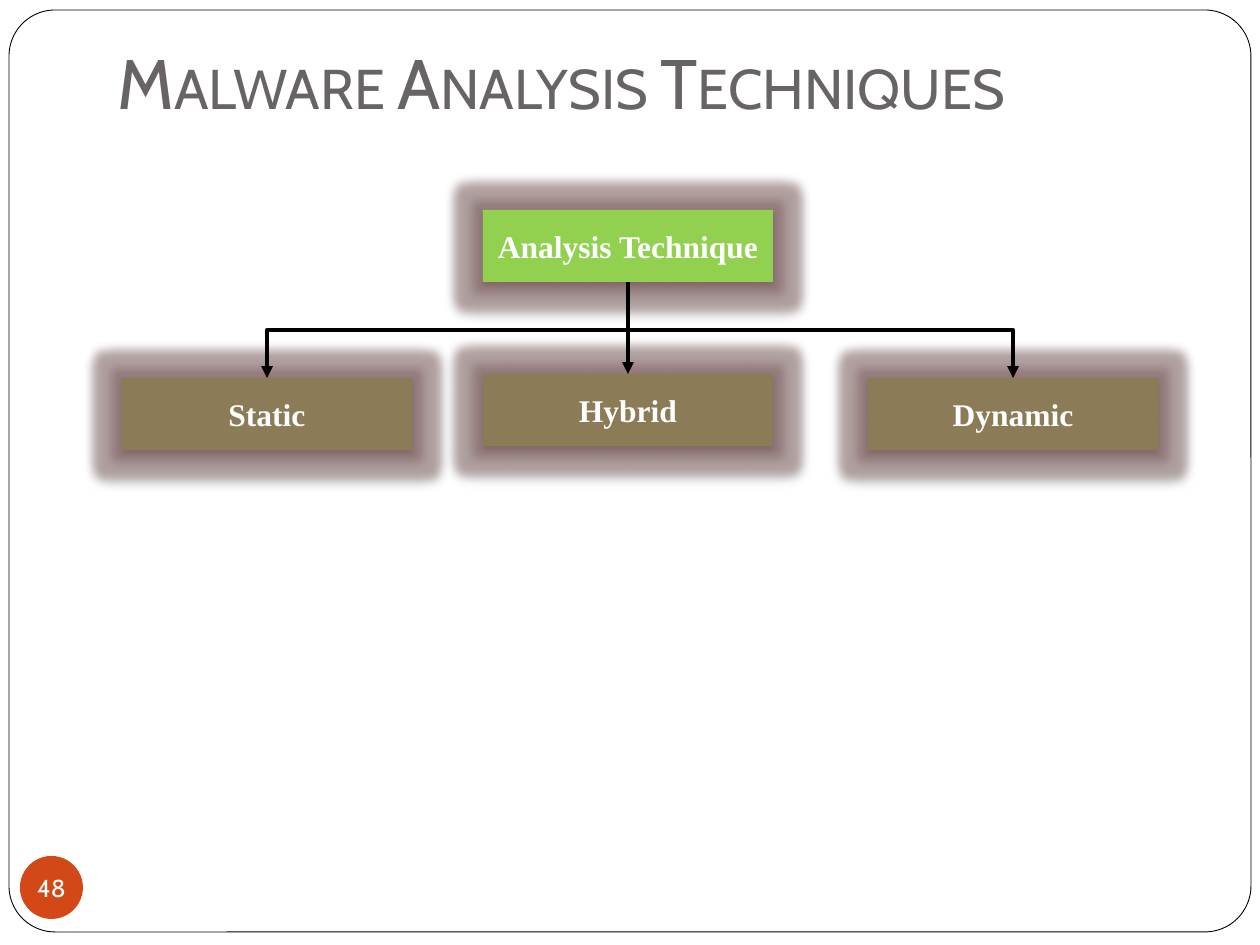
from dataclasses import dataclass
from lxml.etree import SubElement
from pptx import Presentation
from pptx.dml.color import RGBColor
from pptx.enum.shapes import MSO_CONNECTOR, MSO_SHAPE
from pptx.enum.text import MSO_ANCHOR, MSO_AUTO_SIZE, PP_ALIGN
from pptx.oxml.ns import qn
from pptx.util import Emu, Pt


@dataclass(frozen=True)
class Theme:
    head: str = "696464"
    root: str = "92D050"
    leaf: str = "8B7B57"
    badge: str = "D34817"
    glow: str = "855D5D"
    white: str = "FFFFFF"
    black: str = "000000"
    sans: str = "Cabin"
    serif: str = "Times New Roman"
    big: int = 40
    mid: int = 18
    small: int = 14


@dataclass(frozen=True)
class Node:
    text: str
    left: int
    top: int
    fill: str


THEME = Theme()
WIDE, HIGH = 290, 72
ROOT = Node("Analysis Technique", 483, 210, THEME.root)
LEAVES = [
    Node("Static", 122, 378, THEME.leaf),
    Node("Hybrid", 483, 374, THEME.leaf),
    Node("Dynamic", 868, 378, THEME.leaf),
]


def px(n: float) -> Emu:
    return Emu(round(n * 914400 / 126))


def tint(code: str) -> RGBColor:
    return RGBColor.from_string(code)


def write(shape, text: str, face: str, size: int, code: str, bold: bool = False,
          align=PP_ALIGN.CENTER):
    shape.text_frame.text = text
    par = shape.text_frame.paragraphs[0]
    par.alignment = align
    font = par.font
    font.name, font.size, font.bold = face, Pt(size), bold
    font.color.rgb = tint(code)
    return par


def block(slide, kind, left: int, top: int, wide: int, high: int, fill: str):
    shape = slide.shapes.add_shape(kind, px(left), px(top), px(wide), px(high))
    shape.shadow.inherit = False
    shape.fill.solid()
    shape.fill.fore_color.rgb = tint(fill)
    shape.line.fill.background()
    return shape


def shade(effect, code: str, alpha: int) -> None:
    color = SubElement(effect, qn("a:srgbClr"), val=code)
    SubElement(color, qn("a:alpha"), val=str(alpha * 1000))


def box(slide, node: Node):
    shape = block(slide, MSO_SHAPE.RECTANGLE, node.left, node.top, WIDE, HIGH, node.fill)
    effects = shape._element.spPr.find(qn("a:effectLst"))
    shade(SubElement(effects, qn("a:glow"), rad=str(Pt(11))), THEME.glow, 40)
    shadow = SubElement(effects, qn("a:outerShdw"), blurRad=str(Pt(3)),
                        dist=str(Pt(2)), dir="5400000", rotWithShape="0")
    shade(shadow, THEME.black, 50)
    shape.text_frame.vertical_anchor = MSO_ANCHOR.MIDDLE
    write(shape, node.text, THEME.serif, THEME.mid, THEME.white, True)
    return shape


def turn(link) -> None:
    left = link.end_x < link.begin_x
    wide, high = link.width, link.height
    mid_x, mid_y = link.left + wide // 2, link.top + high // 2
    link.left, link.top = Emu(mid_x - high // 2), Emu(mid_y - wide // 2)
    link.width, link.height = high, wide
    frame = link._element.spPr.find(qn("a:xfrm"))
    frame.set("rot", "5400000" if left else "16200000")
    frame.set("flipH", "0" if left else "1")


def join(slide, start, end) -> None:
    bent = start.left != end.left
    kind = MSO_CONNECTOR.ELBOW if bent else MSO_CONNECTOR.STRAIGHT
    link = slide.shapes.add_connector(kind, 0, 0, 0, 0)
    link.begin_connect(start, 2)
    link.end_connect(end, 0)
    if bent:
        turn(link)
    link.line.color.rgb = tint(THEME.black)
    link.line.width = Pt(2.25)
    SubElement(link.line._get_or_add_ln(), qn("a:tailEnd"), type="triangle")
    SubElement(link._element.spPr, qn("a:effectLst"))


def heading(slide) -> None:
    title = slide.shapes.title
    title.left, title.top, title.width, title.height = px(105), px(25), px(1071), px(112)
    frame = title.text_frame
    frame.auto_size = MSO_AUTO_SIZE.NONE
    frame.vertical_anchor = MSO_ANCHOR.BOTTOM
    frame.margin_bottom = px(13)
    par = write(title, "Malware Analysis Techniques", THEME.sans, THEME.big,
                THEME.head, align=PP_ALIGN.LEFT)
    par._p.pPr.find(qn("a:defRPr")).set("cap", "small")


def border(slide) -> None:
    shape = block(slide, MSO_SHAPE.ROUNDED_RECTANGLE, 9, 10, 1242, 922, THEME.white)
    shape.adjustments[0] = 0.05
    shape.line.color.rgb = tint(THEME.black)
    shape.line.width = Pt(0.5)
    tree = slide.shapes._spTree
    tree.remove(shape._element)
    tree.insert(2, shape._element)


def badge(slide) -> None:
    shape = block(slide, MSO_SHAPE.OVAL, 20, 856, 63, 63, THEME.badge)
    frame = shape.text_frame
    frame.word_wrap = False
    frame.vertical_anchor = MSO_ANCHOR.MIDDLE
    frame.margin_left = frame.margin_right = frame.margin_top = frame.margin_bottom = 0
    write(shape, "48", THEME.sans, THEME.small, THEME.white)


def main() -> None:
    deck = Presentation()
    deck.slide_width, deck.slide_height = px(1260), px(945)
    slide = deck.slides.add_slide(deck.slide_layouts[5])
    border(slide)
    heading(slide)
    badge(slide)
    root = box(slide, ROOT)
    leaves = [box(slide, node) for node in LEAVES]
    for leaf in leaves:
        join(slide, root, leaf)
    deck.save("out.pptx")


if __name__ == "__main__":
    main()
